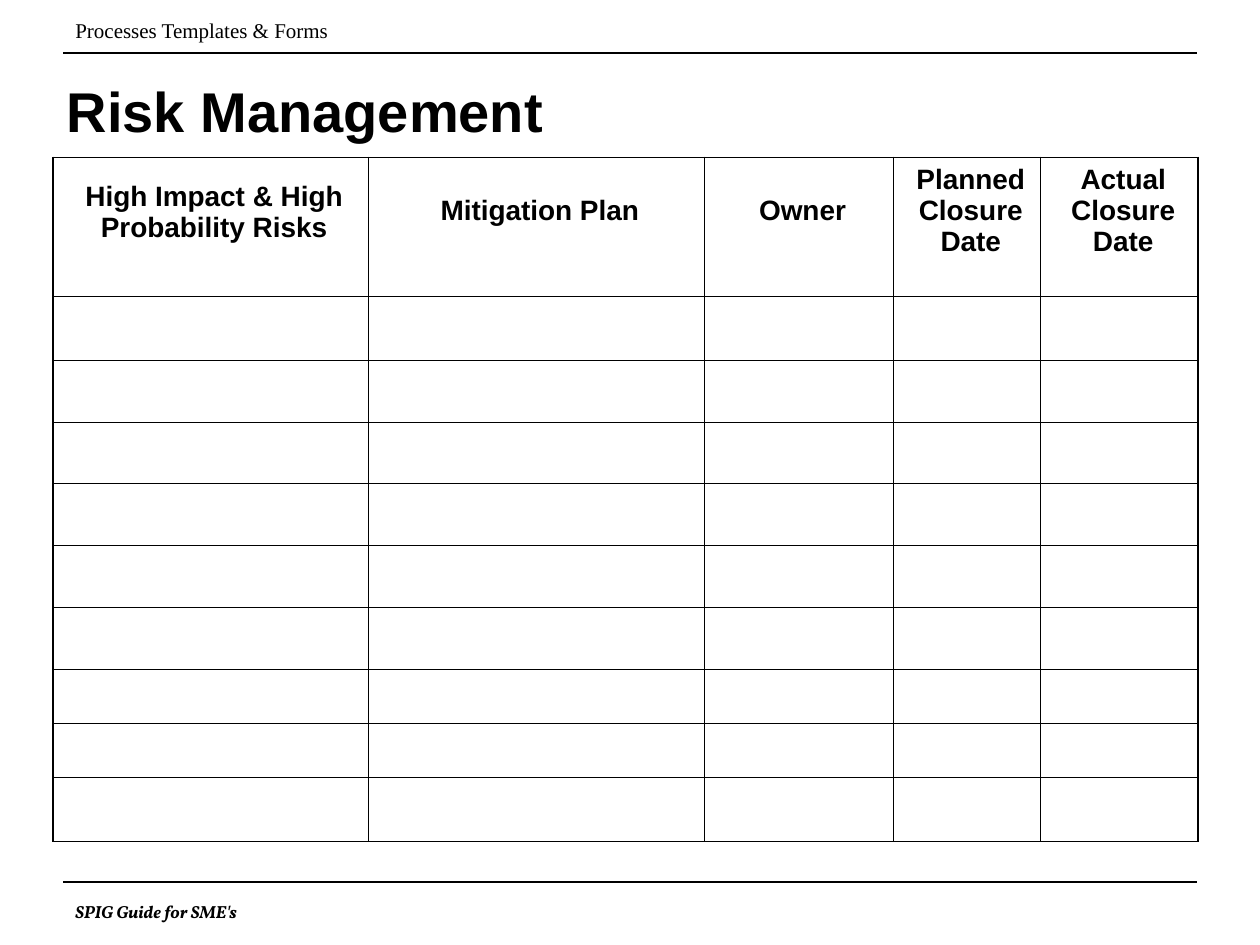
from pptx import Presentation
from pptx.dml.color import RGBColor
from pptx.enum.shapes import MSO_CONNECTOR
from pptx.enum.text import MSO_ANCHOR, PP_ALIGN
from pptx.oxml.ns import qn
from pptx.util import Inches, Pt
from lxml import etree

STRAIGHT = MSO_CONNECTOR.STRAIGHT
TOP, MIDDLE = MSO_ANCHOR.TOP, MSO_ANCHOR.MIDDLE
LEFT, CENTER = PP_ALIGN.LEFT, PP_ALIGN.CENTER

COLORS = {"ink": "000000"}
INNER, OUTER = Pt(0.45), Pt(1.08)


def write_text(frame, text, font="Arial", size=16, bold=False, italic=False,
               align=LEFT, color="ink"):
    paragraph = frame.paragraphs[0]
    paragraph.alignment = align
    run = paragraph.add_run()
    run.text = text
    run.font.name = font
    run.font.size = Pt(size)
    run.font.bold = bold
    run.font.italic = italic
    run.font.color.rgb = RGBColor.from_string(COLORS[color])


class FormSlide:
    def __init__(self, slide):
        self.slide = slide

    def rule(self, y, left=0.5, right=9.5):
        line = self.slide.shapes.add_connector(
            STRAIGHT, Inches(left), Inches(y), Inches(right), Inches(y))
        line.line.color.rgb = RGBColor.from_string(COLORS["ink"])
        line.line.width = Pt(0.75)
        etree.SubElement(line._element.spPr, qn("a:effectLst"))

    def text(self, box, text, inset=(0.1, 0.05), anchor=TOP, **style):
        frame = self.slide.shapes.add_textbox(*map(Inches, box)).text_frame
        frame.word_wrap = True
        frame.vertical_anchor = anchor
        frame.margin_left = frame.margin_right = Inches(inset[0])
        frame.margin_top = frame.margin_bottom = Inches(inset[1])
        write_text(frame, text, **style)

    def table(self, left, top, widths, heights, headings):
        table = self.slide.shapes.add_table(
            len(heights), len(widths), Inches(left), Inches(top),
            Inches(sum(widths)), Inches(sum(heights))).table
        table.first_row = table.horz_banding = False
        for column, width in zip(table.columns, widths):
            column.width = Inches(width)
        for row, height in zip(table.rows, heights):
            row.height = Inches(height)

        # Heavier lines run around the outside of the grid
        last_row, last_column = len(heights) - 1, len(widths) - 1
        for r in range(len(heights)):
            for c in range(len(widths)):
                cell = table.cell(r, c)
                cell.fill.background()
                self.borders(cell, {"L": c == 0, "R": c == last_column,
                                    "T": r == 0, "B": r == last_row})

        # Each heading has its own drop from the top of the row
        for c, (heading, drop) in enumerate(headings):
            cell = table.cell(0, c)
            cell.margin_top = Inches(drop)
            cell.margin_left = Inches(0.16)
            write_text(cell.text_frame, heading, bold=True, align=CENTER)

    def borders(self, cell, outer_sides):
        properties = cell._tc.get_or_add_tcPr()
        for position, (side, is_outer) in enumerate(outer_sides.items()):
            border = etree.Element(qn(f"a:ln{side}"),
                                   w=str(OUTER if is_outer else INNER))
            fill = etree.SubElement(border, qn("a:solidFill"))
            etree.SubElement(fill, qn("a:srgbClr"), val=COLORS["ink"])
            properties.insert(position, border)


def main():
    deck = Presentation()
    deck.slide_width, deck.slide_height = Inches(10), Inches(7.5)
    form = FormSlide(deck.slides.add_slide(deck.slide_layouts[6]))

    # Footer and header
    form.rule(7)
    form.text((0.5, 7.1, 2.5, 0.27), "SPIG Guide for SME's",
              font="Vollkorn", size=10, bold=True, italic=True)
    form.rule(0.42)
    form.text((0.5, 0.09, 2.5, 0.3), "Processes Templates & Forms",
              font="Times New Roman", size=12)

    # Title
    form.text((0.4, 0.4, 8.85, 0.95), "Risk Management", inset=(0.13, 0),
              anchor=MIDDLE, size=32, bold=True)

    # Risk register
    form.table(
        0.42, 1.25,
        widths=[2.5, 2.67, 1.5, 1.17, 1.25],
        heights=[1.1, 0.51] + [0.49] * 5 + [0.43] * 2 + [0.51],
        headings=[("High Impact & High Probability Risks", 0.19),
                  ("Mitigation Plan", 0.3), ("Owner", 0.3),
                  ("Planned Closure Date", 0.05),
                  ("Actual Closure Date", 0.05)])

    deck.save("out.pptx")


if __name__ == "__main__":
    main()
